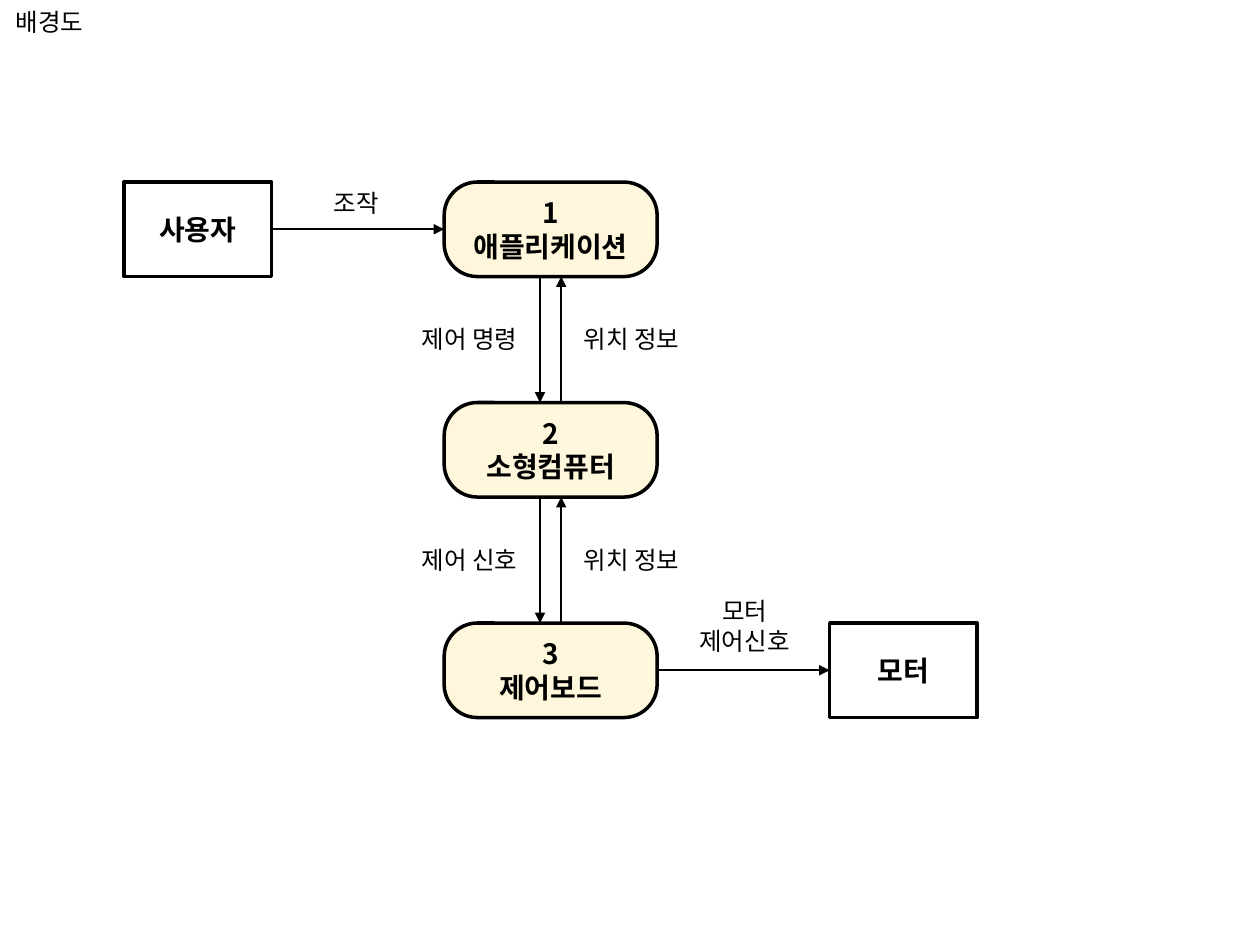
from dataclasses import dataclass

from lxml.etree import SubElement
from pptx import Presentation
from pptx.dml.color import RGBColor
from pptx.enum.shapes import MSO_CONNECTOR, MSO_SHAPE
from pptx.enum.text import MSO_ANCHOR, MSO_AUTO_SIZE, PP_ALIGN
from pptx.oxml.ns import qn
from pptx.util import Inches, Pt


@dataclass(frozen=True)
class Theme:
    font: str = "Noto Sans CJK KR"
    ink: RGBColor = RGBColor(0x00, 0x00, 0x00)
    process: RGBColor = RGBColor(0xFE, 0xF7, 0xDB)
    node_size: int = 16
    label_size: int = 14
    border: int = 2
    flow: int = 1
    entity_width: float = 1.17
    process_width: float = 1.69
    node_height: float = 0.75


class Diagram:
    """Draws a context diagram on a grid of node centres."""

    def __init__(self, slide, theme):
        self.s, self.theme = slide, theme

    def point(self, col, row):
        return Inches(1.57 + 2.8 * col), Inches(1.82 + 1.75 * row)

    def frame(self, col, row, width, height):
        x, y = self.point(col, row)
        w, h = Inches(width), Inches(height)
        return x - w // 2, y - h // 2, w, h

    def add_lines(self, tf, lines, size, bold=False):
        for i, line in enumerate(lines):
            p = tf.add_paragraph() if i else tf.paragraphs[0]
            p.alignment = PP_ALIGN.CENTER
            r = p.add_run()
            r.text = line
            r.font.size, r.font.bold = Pt(size), bold
            r.font.color.rgb = self.theme.ink
            r.font.name = self.theme.font
            SubElement(r.font._element, qn("a:ea"), typeface=self.theme.font)

    def node(self, kind, col, row, width, lines):
        t = self.theme
        sp = self.s.shapes.add_shape(kind, *self.frame(col, row, width, t.node_height))
        sp.shadow.inherit = False
        sp.line.color.rgb, sp.line.width = t.ink, Pt(t.border)
        sp.text_frame.vertical_anchor = MSO_ANCHOR.MIDDLE
        self.add_lines(sp.text_frame, lines, t.node_size, bold=True)
        return sp

    def entity(self, col, row, name):
        sp = self.node(MSO_SHAPE.RECTANGLE, col, row, self.theme.entity_width, [name])
        sp.fill.background()

    def process(self, col, row, name):
        lines = [str(row + 1), name]
        sp = self.node(MSO_SHAPE.ROUNDED_RECTANGLE, col, row, self.theme.process_width, lines)
        sp.adjustments[0] = 0.35
        sp.fill.solid()
        sp.fill.fore_color.rgb = self.theme.process

    def label(self, col, row, width, *lines):
        height = 0.11 + 0.23 * len(lines)
        tf = self.s.shapes.add_textbox(*self.frame(col, row, width, height)).text_frame
        tf.word_wrap = False
        tf.auto_size = MSO_AUTO_SIZE.SHAPE_TO_FIT_TEXT
        self.add_lines(tf, lines, self.theme.label_size)

    def arrow(self, start, end, tip="a:tailEnd"):
        flow = self.s.shapes.add_connector(MSO_CONNECTOR.STRAIGHT, *start, *end)
        flow.line.color.rgb, flow.line.width = self.theme.ink, Pt(self.theme.flow)
        props = flow._element.spPr
        SubElement(props.find(qn("a:ln")), qn(tip), type="triangle")
        SubElement(props, qn("a:effectLst"))

    def flow_right(self, col, row, left_width, right_width):
        (x1, y), (x2, _) = self.point(col, row), self.point(col + 1, row)
        self.arrow((x1 + Inches(left_width / 2), y), (x2 - Inches(right_width / 2), y))

    def flow_pair(self, col, row, down, up):
        gap = Inches(self.theme.node_height / 2)
        for side, tip, text in ((-1, "a:tailEnd", down), (1, "a:headEnd", up)):
            x, top = self.point(col + side * 0.03, row)
            _, bottom = self.point(col, row + 1)
            self.arrow((x, top + gap), (x, bottom - gap), tip)
            self.label(col + side * 0.23, row + 0.5, 1.05, text)


def main():
    prs = Presentation()
    prs.slide_width, prs.slide_height = Inches(10), Inches(7.5)
    t = Theme()
    d = Diagram(prs.slides.add_slide(prs.slide_layouts[6]), t)

    d.label(-0.42, -0.94, 0.79, "배경도")
    d.entity(0, 0, "사용자")
    for row, name in enumerate(("애플리케이션", "소형컴퓨터", "제어보드")):
        d.process(1, row, name)
    d.entity(2, 2, "모터")

    d.flow_right(0, 0, t.entity_width, t.process_width)
    d.label(0.45, -0.12, 0.59, "조작")
    for row, command in enumerate(("제어 명령", "제어 신호")):
        d.flow_pair(1, row, command, "위치 정보")
    d.flow_right(1, 2, t.process_width, t.entity_width)
    d.label(1.55, 1.8, 0.99, "모터", "제어신호")

    prs.save("out.pptx")


if __name__ == "__main__":
    main()
